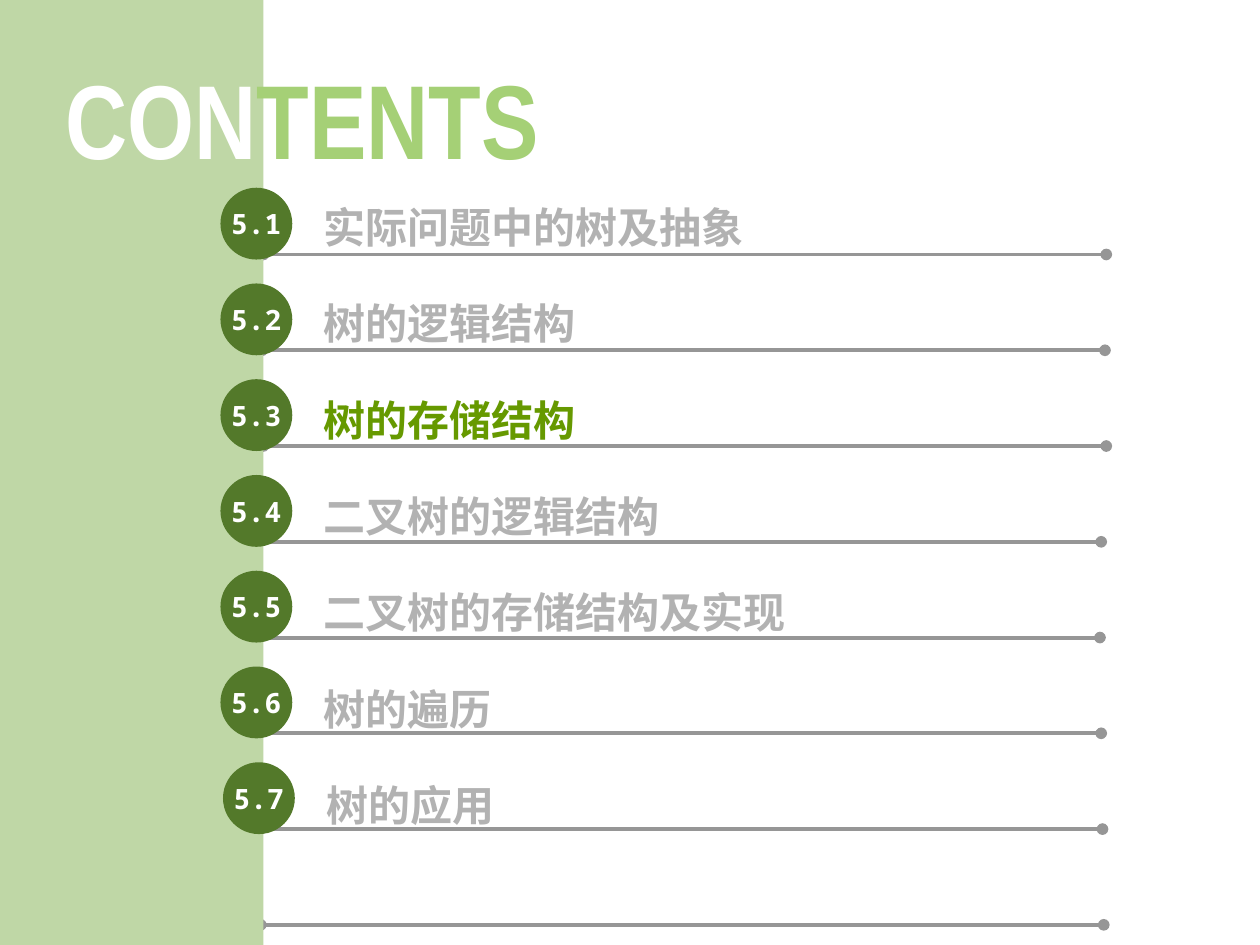
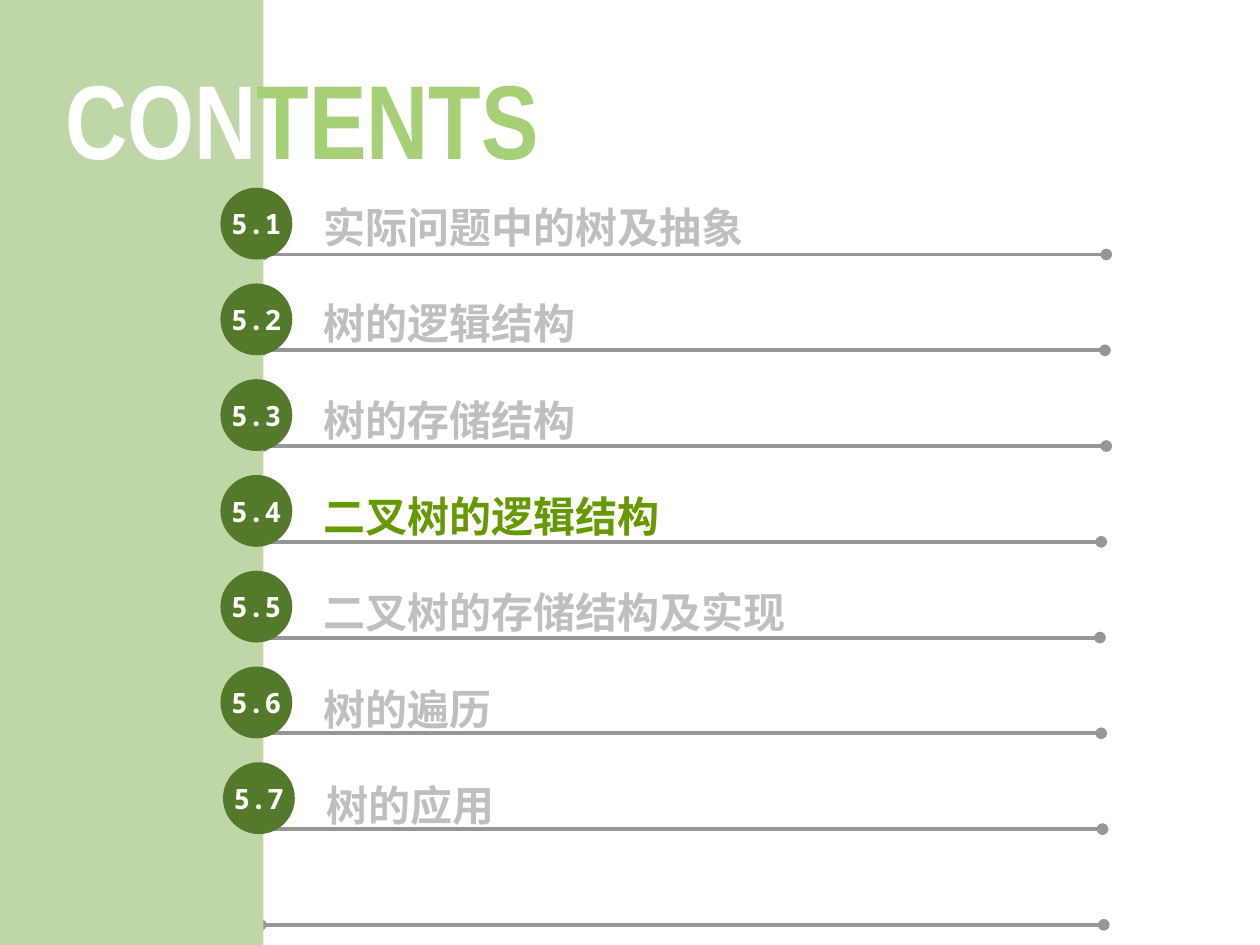
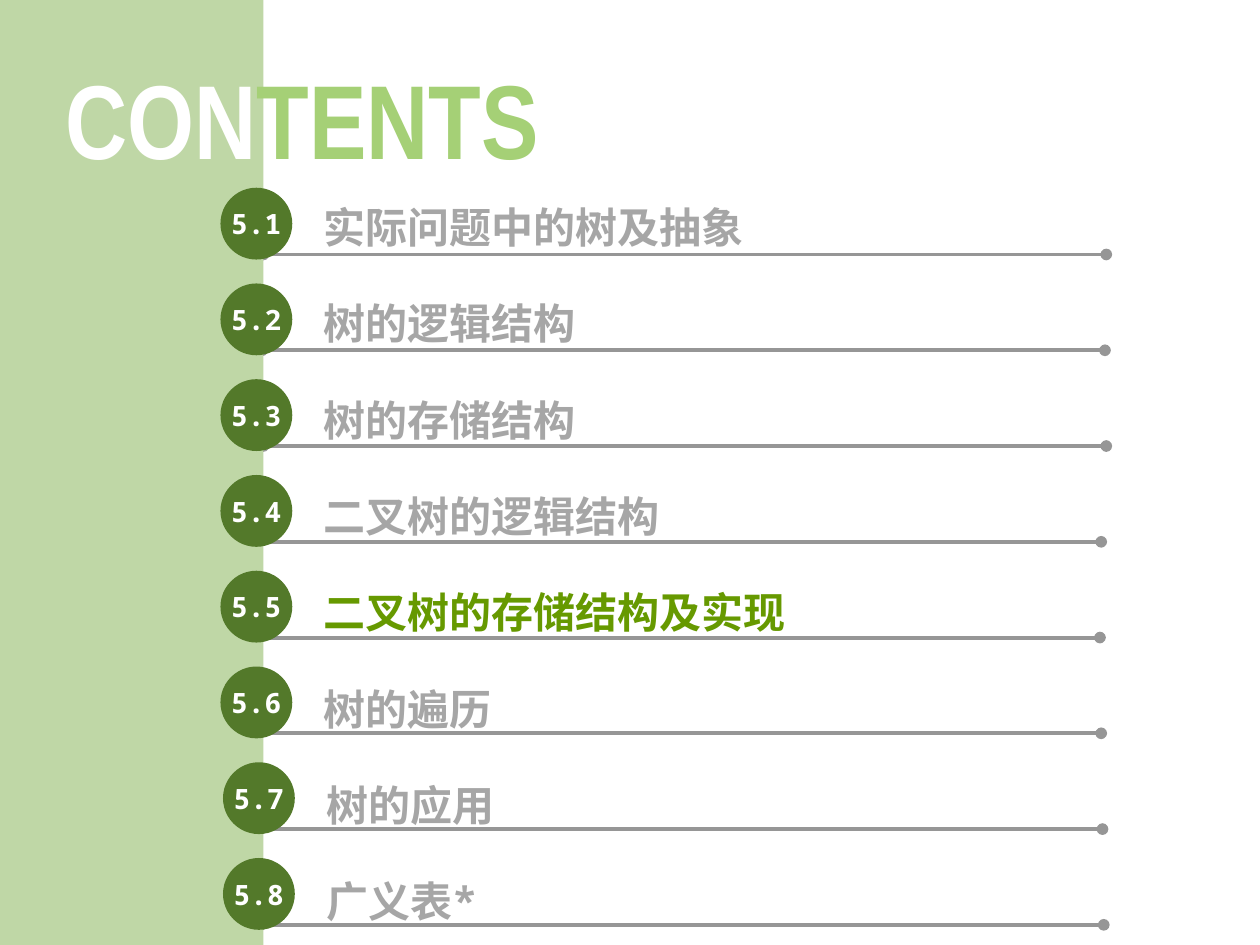
from lxml import etree
from pptx import Presentation
from pptx.dml.color import RGBColor
from pptx.enum.shapes import MSO_CONNECTOR, MSO_SHAPE
from pptx.enum.text import MSO_ANCHOR, MSO_AUTO_SIZE, PP_ALIGN
from pptx.oxml.ns import qn
from pptx.util import Inches, Pt

STRAIGHT = MSO_CONNECTOR.STRAIGHT
RECT, OVAL = MSO_SHAPE.RECTANGLE, MSO_SHAPE.OVAL
MIDDLE, CENTER = MSO_ANCHOR.MIDDLE, PP_ALIGN.CENTER
NO_FIT = MSO_AUTO_SIZE.NONE

WHITE = RGBColor(0xFF, 0xFF, 0xFF)
PALE = RGBColor(0xBF, 0xD7, 0xA6)
LIME = RGBColor(0xA5, 0xD0, 0x76)
DARK = RGBColor(0x53, 0x79, 0x2A)
ACTIVE = RGBColor(0x66, 0x99, 0x00)
RULE = RGBColor(0x96, 0x96, 0x96)
SILVER = RGBColor(0xB2, 0xB2, 0xB2)
LIGHT = RGBColor(0xBF, 0xBF, 0xBF)
GREY = RGBColor(0xA6, 0xA6, 0xA6)

TITLE_FONT, BODY_FONT = "Arial Narrow", "Noto Sans Mono"
WIDTH, HEIGHT = 10, 7.5
BAND_WIDTH = 2.09
STEP = 0.76
LABEL_STEP = (6.95 - 1.6) / 7
RULE_LEFTS = [2.09, 2.08, 2.09, 2.05, 2.04, 2.05, 2.06, 2.07]
RULE_WIDTH = 6.69

TOPICS = [
    "实际问题中的树及抽象",
    "树的逻辑结构",
    "树的存储结构",
    "二叉树的逻辑结构",
    "二叉树的存储结构及实现",
    "树的遍历",
    "树的应用",
    "广义表*",
]

# Topics shown, number of the active one, colour of the others
PAGES = [(7, 3, SILVER), (7, 4, LIGHT), (8, 5, GREY)]


def style(run, font, size, color):
    run.font.name = font
    run.font.size = Pt(size)
    run.font.bold = True
    run.font.color.rgb = color
    latin = run.font._element.find(qn("a:latin"))
    east = etree.Element(qn("a:ea"), typeface=font)
    latin.addnext(east)


def add_rule(slide, left, top, width):
    """Draw a horizontal line with a dot at each end."""
    y = Inches(top)
    rule = slide.shapes.add_connector(
        STRAIGHT, Inches(left), y, Inches(left + width), y)
    rule.line.color.rgb = RULE
    rule.line.width = Pt(2.25)
    props = rule.element.spPr
    line = props.find(qn("a:ln"))
    for end in ("a:headEnd", "a:tailEnd"):
        etree.SubElement(line, qn(end), type="oval")
    etree.SubElement(props, qn("a:effectLst"))


def add_shape(slide, kind, box, color):
    shape = slide.shapes.add_shape(kind, *map(Inches, box))
    shape.shadow.inherit = False
    shape.fill.solid()
    shape.fill.fore_color.rgb = color
    shape.line.fill.background()
    return shape


def add_label(slide, box, text, color):
    frame = slide.shapes.add_textbox(*map(Inches, box)).text_frame
    frame.word_wrap = True
    frame.vertical_anchor = MIDDLE
    frame.margin_top = frame.margin_bottom = 0
    frame.text = text
    style(frame.paragraphs[0].runs[0], BODY_FONT, 24, color)


def add_badge(slide, box, text):
    frame = add_shape(slide, OVAL, box, DARK).text_frame
    frame.margin_left = frame.margin_right = 0
    frame.margin_top = frame.margin_bottom = 0
    frame.word_wrap = False
    frame.vertical_anchor = MIDDLE
    frame.text = text
    para = frame.paragraphs[0]
    para.alignment = CENTER
    style(para.runs[0], BODY_FONT, 16, WHITE)


def set_title(slide, box):
    """Place the two-colour heading in front of the band."""
    title = slide.shapes.title
    title.left, title.top, title.width, title.height = map(Inches, box)
    slide.shapes.element.append(title.element)
    frame = title.text_frame
    frame.auto_size = NO_FIT
    frame.vertical_anchor = MIDDLE
    para = frame.paragraphs[0]
    para.alignment = CENTER
    for text, color in (("CON", WHITE), ("TENTS", LIME)):
        run = para.add_run()
        run.text = text
        style(run, TITLE_FONT, 60, color)


def add_page(deck, count, active, color):
    slide = deck.slides.add_slide(deck.slide_layouts.get_by_name("Title Only"))
    shifts = [0.02 if row > 5 else 0 for row in range(count)]
    for row, left in enumerate(RULE_LEFTS):
        add_rule(slide, left, 2.02 + row * STEP, RULE_WIDTH)
    for row, text in enumerate(TOPICS[:count]):
        box = (2.47 + shifts[row], 1.6 + row * LABEL_STEP, 4.31, 0.4)
        add_label(slide, box, text, ACTIVE if row + 1 == active else color)
    add_shape(slide, RECT, (0, 0, BAND_WIDTH, HEIGHT), PALE)
    set_title(slide, (-0.04, 0.35, 4.88, 1.16))
    for row, shift in enumerate(shifts):
        box = (1.75 + shift, 1.49 + row * STEP, 0.57, 0.57)
        add_badge(slide, box, f"5.{row + 1}")


def main():
    deck = Presentation()
    deck.slide_width, deck.slide_height = Inches(WIDTH), Inches(HEIGHT)
    for page in PAGES:
        add_page(deck, *page)
    deck.save("out.pptx")


if __name__ == "__main__":
    main()
